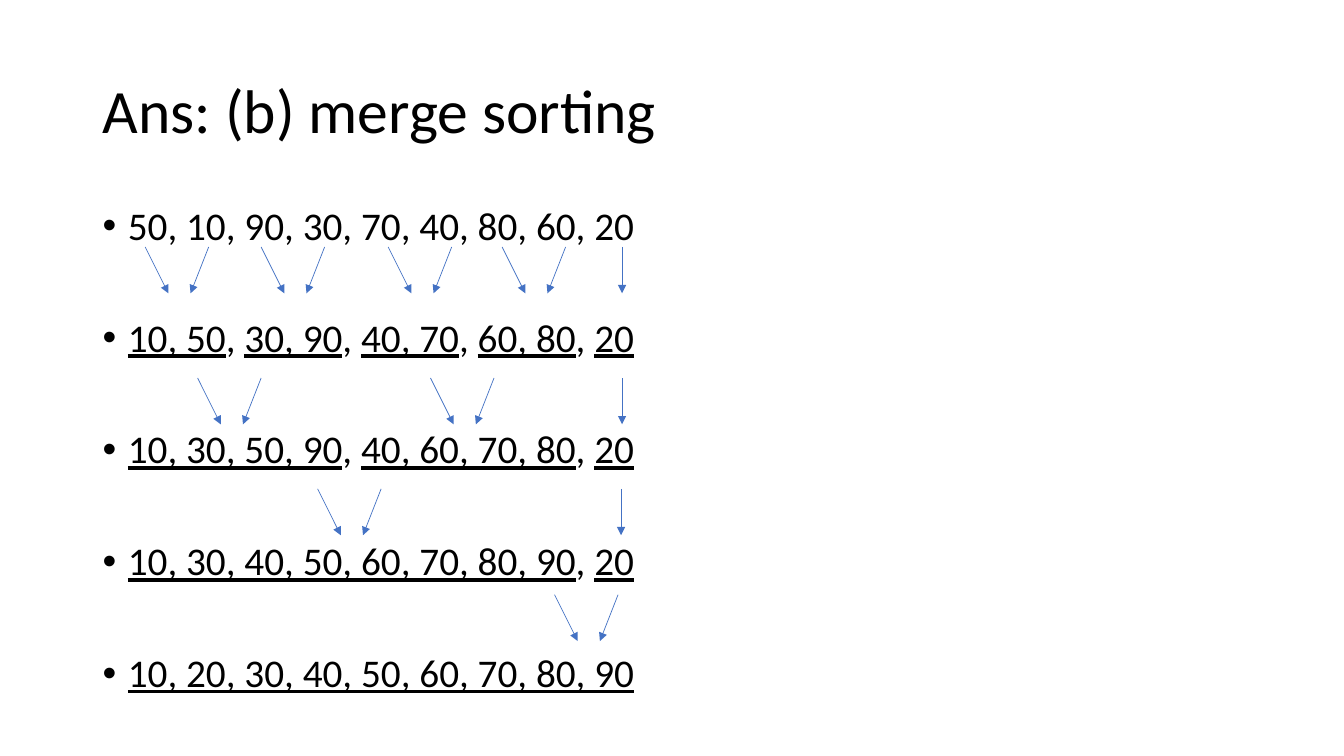
"""Build a slide that shows the passes of a merge sort."""
from dataclasses import dataclass

from lxml import etree
from pptx import Presentation
from pptx.dml import color
from pptx.enum import shapes, text
from pptx.oxml import ns
from pptx.util import Inches, Pt

FONT = "Calibri"
BLACK = "000000"
BLUE = "4472C4"
MARGIN, TEXT_WIDTH = 0.92, 11.5
DROP = 0.46


@dataclass(frozen=True)
class SortPass:
    """One row of sorted groups, with the gap in points above it."""
    groups: tuple[str, ...]
    underline: bool = True
    space_before: float = 49.6


@dataclass(frozen=True)
class MergeStep:
    """Arrows below a row: left edges of merging pairs and a carried value."""
    top: float
    pairs: tuple[float, ...]
    carried: float | None = None


PASSES = (
    SortPass(("50, 10, 90, 30, 70, 40, 80, 60, 20",), underline=False, space_before=0),
    SortPass(("10, 50", "30, 90", "40, 70", "60, 80", "20")),
    SortPass(("10, 30, 50, 90", "40, 60, 70, 80", "20")),
    SortPass(("10, 30, 40, 50, 60, 70, 80, 90", "20")),
    SortPass(("10, 20, 30, 40, 50, 60, 70, 80, 90",)),
)
STEPS = (
    MergeStep(2.45, (1.44, 2.59, 3.85, 4.98), 6.17),
    MergeStep(3.75, (1.96, 4.27), 6.17),
    MergeStep(4.85, (3.15,), 6.16),
    MergeStep(5.9, (5.5,)),
)


def rgb(value: str) -> color.RGBColor:
    """Turn a hex string into a colour."""
    return color.RGBColor.from_string(value)


def add_frame(page, top: float, height: float, anchor):
    """Add a wrapping text box and return its text frame."""
    box = page.shapes.add_textbox(
        Inches(MARGIN), Inches(top), Inches(TEXT_WIDTH), Inches(height))
    frame = box.text_frame
    frame.word_wrap = True
    frame.vertical_anchor = anchor
    return frame


def add_span(para, words: str, *, size: float, underline: bool = False) -> None:
    """Add a formatted run to a paragraph."""
    span = para.add_run()
    span.text = words
    span.font.name = FONT
    span.font.size = Pt(size)
    span.font.underline = underline
    span.font.color.rgb = rgb(BLACK)


def add_bullet(para) -> None:
    """Give a paragraph a hanging bullet."""
    properties = para._p.get_or_add_pPr()
    properties.set("marL", str(Inches(0.25)))
    properties.set("indent", str(Inches(-0.25)))
    etree.SubElement(properties, ns.qn("a:buFont"), typeface="Arial")
    etree.SubElement(properties, ns.qn("a:buChar"), char="•")


def add_pass(para, sort_pass: SortPass) -> None:
    """Write one row with its sorted groups underlined."""
    para.line_spacing = 0.9
    para.space_before = Pt(sort_pass.space_before)
    add_bullet(para)
    for index, group in enumerate(sort_pass.groups):
        if index:
            add_span(para, ", ", size=28)
        add_span(para, group, size=28, underline=sort_pass.underline)


def add_arrow(page, start: float, end: float, top: float) -> None:
    """Draw a thin arrow down from one horizontal position to another."""
    arrow = page.shapes.add_connector(
        shapes.MSO_CONNECTOR.STRAIGHT,
        Inches(start), Inches(top), Inches(end), Inches(top + DROP))
    arrow.line.color.rgb = rgb(BLUE)
    arrow.line.width = Pt(0.5)
    properties = arrow.element.spPr
    etree.SubElement(properties.find(ns.qn("a:ln")), ns.qn("a:tailEnd"), type="triangle")
    etree.SubElement(properties, ns.qn("a:effectLst"))


def add_step(page, step: MergeStep) -> None:
    """Draw the converging pairs and the carried value of one step."""
    for left in step.pairs:
        add_arrow(page, left, left + 0.23, step.top)
        add_arrow(page, left + 0.63, left + 0.45, step.top)
    if step.carried is not None:
        add_arrow(page, step.carried, step.carried, step.top)


def main() -> None:
    """Create and save the deck."""
    deck = Presentation()
    deck.slide_width, deck.slide_height = Inches(13.33), Inches(7.5)
    page = deck.slides.add_slide(deck.slide_layouts[6])

    title = add_frame(page, 0.4, 1.45, text.MSO_ANCHOR.MIDDLE).paragraphs[0]
    title.line_spacing = 0.9
    add_span(title, "Ans: (b) merge sorting", size=44)

    body = add_frame(page, 2, 5.3, text.MSO_ANCHOR.TOP)
    for index, sort_pass in enumerate(PASSES):
        para = body.add_paragraph() if index else body.paragraphs[0]
        add_pass(para, sort_pass)

    for step in STEPS:
        add_step(page, step)
    deck.save("out.pptx")


if __name__ == "__main__":
    main()
